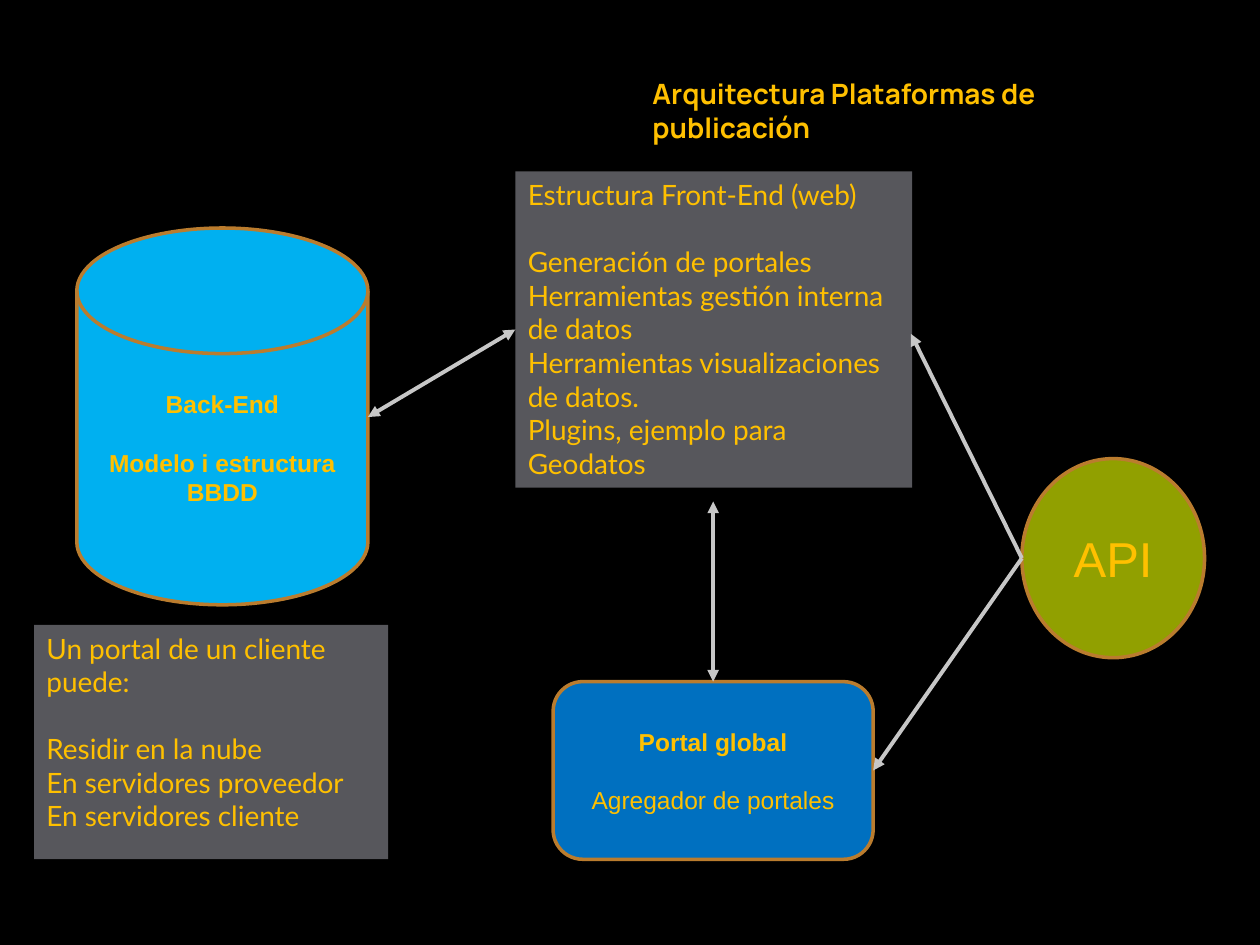
from lxml.etree import SubElement
from pptx import Presentation
from pptx.dml.color import RGBColor
from pptx.enum.shapes import MSO_CONNECTOR, MSO_SHAPE
from pptx.enum.text import MSO_ANCHOR, PP_ALIGN
from pptx.oxml.ns import qn
from pptx.util import Inches, Pt

COLORS = {
    "back": "000000",
    "text": "FFC000",
    "edge": "BA7C2E",
    "arrow": "C7C7C7",
    "panel": "57575C",
    "disk": "00B0F0",
    "api": "91A000",
    "portal": "0070C0",
}


def color(name):
    return RGBColor.from_string(COLORS[name])


def write(shape, lines, font, size, bold=(), align=PP_ALIGN.LEFT,
          anchor=MSO_ANCHOR.TOP, gap=0):
    """Write one paragraph per line; gap is the space after the heading."""
    frame = shape.text_frame
    frame.word_wrap = True
    frame.vertical_anchor = anchor
    for i, line in enumerate(lines):
        para = frame.paragraphs[0] if i == 0 else frame.add_paragraph()
        para.alignment = align
        if i == 1:
            para.space_before = Pt(gap)
        run = para.add_run()
        run.text = line
        run.font.name = font
        run.font.size = Pt(size)
        run.font.bold = i in bold
        run.font.color.rgb = color("text")


def add_title(slide, box, text):
    title = slide.shapes.add_textbox(*map(Inches, box))
    write(title, [text], "Manrope", 16, bold=[0])


def add_block(slide, kind, box, fill, edge=None):
    block = slide.shapes.add_shape(kind, *map(Inches, box))
    block.shadow.inherit = False
    block.fill.solid()
    block.fill.fore_color.rgb = color(fill)
    if edge:
        block.line.color.rgb = color(edge)
        block.line.width = Pt(2)
    else:
        block.line.fill.background()
    return block


def add_panel(slide, box, lines):
    panel = add_block(slide, MSO_SHAPE.RECTANGLE, box, "panel")
    write(panel, lines, "Lato", 16, gap=19.2)
    return panel


def add_node(slide, kind, box, fill, lines, size=14, bold=()):
    node = add_block(slide, kind, box, fill, "edge")
    write(node, lines, "Arial", size, bold, PP_ALIGN.CENTER,
          MSO_ANCHOR.MIDDLE, gap=16.5)
    return node


def add_arrow(slide, start, end, both=False):
    arrow = slide.shapes.add_connector(
        MSO_CONNECTOR.STRAIGHT, *map(Inches, start + end))
    arrow.line.color.rgb = color("arrow")
    arrow.line.width = Pt(2.25)
    line = arrow.line._get_or_add_ln()
    for tag in ("a:headEnd", "a:tailEnd") if both else ("a:tailEnd",):
        SubElement(line, qn(tag), type="triangle")
    SubElement(arrow._element.spPr, qn("a:effectLst"))
    return arrow


def main():
    deck = Presentation()
    deck.slide_width, deck.slide_height = Inches(10), Inches(7.5)
    slide = deck.slides.add_slide(deck.slide_layouts[6])
    slide.background.fill.solid()
    slide.background.fill.fore_color.rgb = color("back")

    add_title(slide, (5.08, 0.56, 4.48, 0.5),
              "Arquitectura Plataformas de publicación")
    add_node(slide, MSO_SHAPE.FLOWCHART_MAGNETIC_DISK,
             (0.61, 1.81, 2.31, 2.99), "disk",
             ["Back-End", "Modelo i estructura BBDD"], bold=[0, 1])
    add_panel(slide, (0.27, 4.96, 2.81, 1.86), [
        "Un portal de un cliente puede:",
        "Residir en la nube",
        "En servidores proveedor",
        "En servidores cliente",
    ])
    front = add_panel(slide, (4.09, 1.36, 3.15, 2.51), [
        "Estructura Front-End (web)",
        "Generación de portales",
        "Herramientas gestión interna de datos",
        "Herramientas visualizaciones de datos.",
        "Plugins, ejemplo para Geodatos",
    ])
    add_arrow(slide, (2.92, 3.31), (4.09, 2.61), both=True).end_connect(front, 1)

    add_node(slide, MSO_SHAPE.OVAL, (8.11, 3.64, 1.45, 1.58), "api",
             ["API"], size=28)
    portal = add_node(slide, MSO_SHAPE.ROUNDED_RECTANGLE,
                      (4.39, 5.41, 2.54, 1.41), "portal",
                      ["Portal global", "Agregador de portales"], bold=[0])
    add_arrow(slide, (5.66, 3.98), (5.66, 5.41), both=True).end_connect(portal, 0)

    api = (8.11, 4.43)
    add_arrow(slide, api, (7.23, 2.65))
    add_arrow(slide, api, (6.93, 6.11)).end_connect(portal, 3)

    deck.save("out.pptx")


if __name__ == "__main__":
    main()
